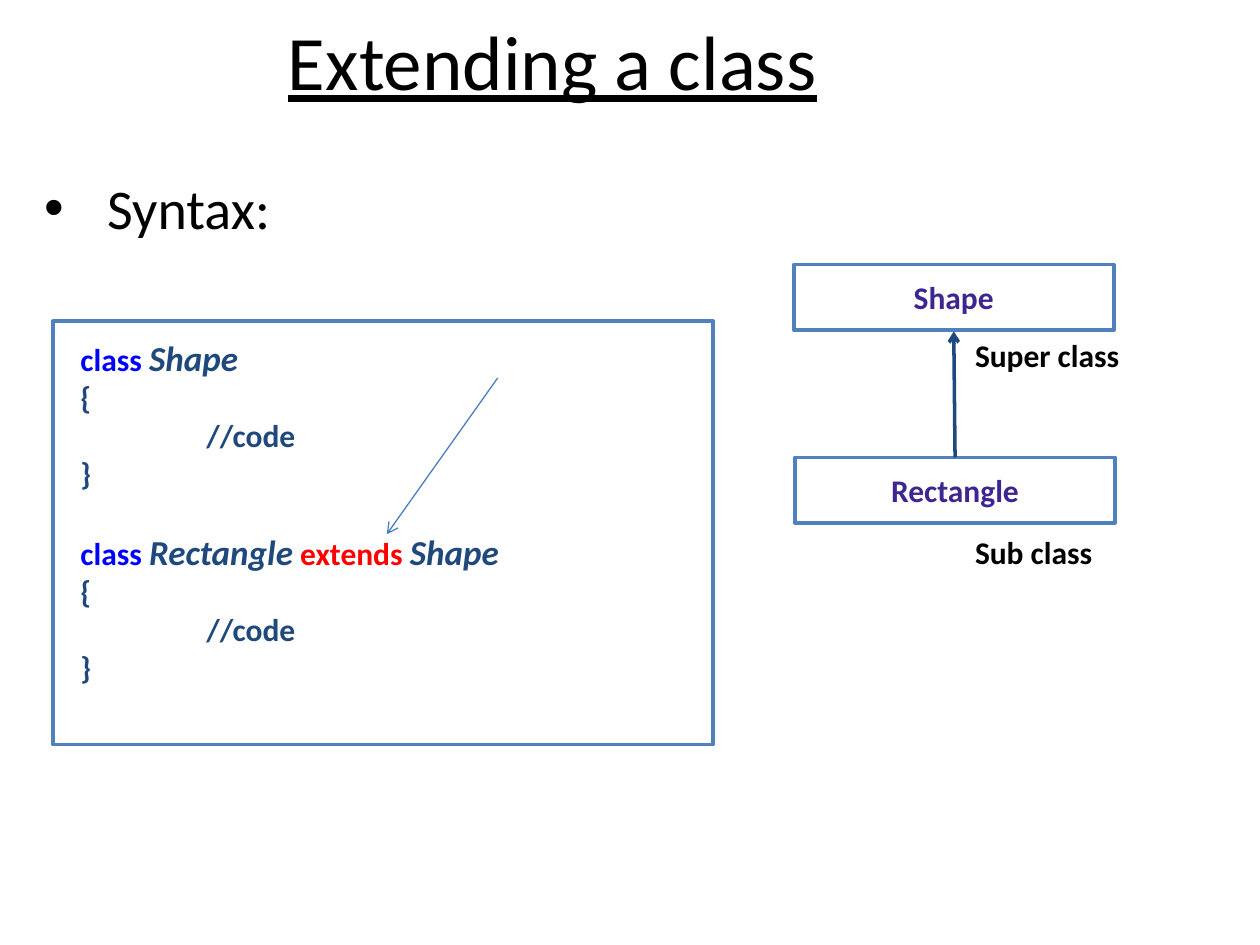
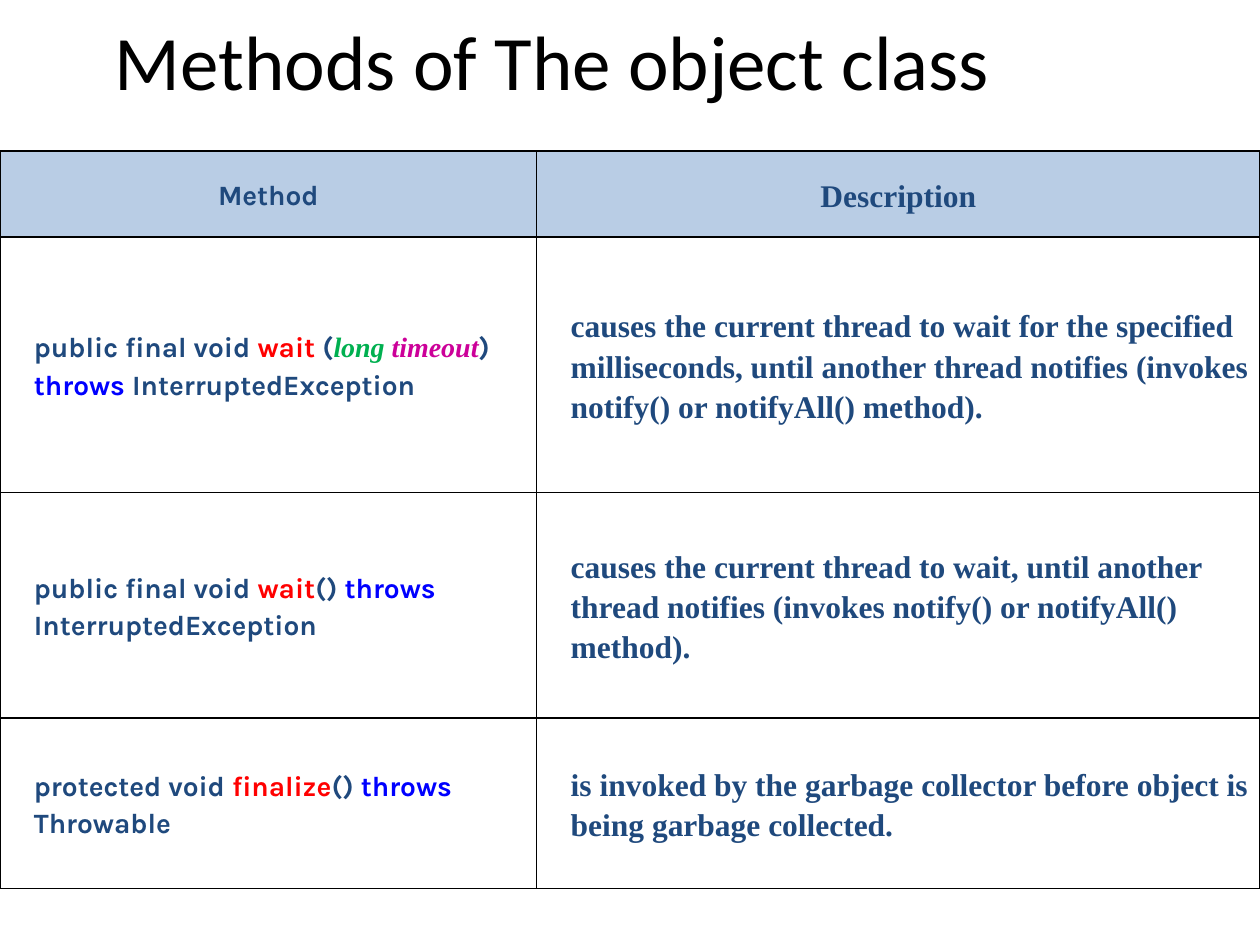
from lxml import etree
from pptx import Presentation
from pptx.dml.color import RGBColor
from pptx.enum import shapes, text
from pptx.oxml import ns
from pptx.util import Inches, Pt

# Shared colours and fonts
BLACK, WHITE, NAVY, BLUE = "000000", "FFFFFF", "1F497D", "0000FF"
RED, GREEN, PINK, PURPLE = "FF0000", "00B050", "CC0099", "3F258F"
OUTLINE, ARROW, HEADER = "4F81BD", "4B7EBC", "B9CDE5"
BODY_FONT, CODE_FONT, SERIF = "Calibri", "Karla", "Times New Roman"
LEFT, CENTER = text.PP_ALIGN.LEFT, text.PP_ALIGN.CENTER


def colour(value):
    return RGBColor.from_string(value)


def add_span(para, words, size, ink=BLACK, face=BODY_FONT, bold=False, italic=False,
             underline=False):
    span = para.add_run()
    span.text = words
    font = span.font
    font.size, font.name = Pt(size), face
    font.bold, font.italic, font.underline = bold, italic, underline
    font.color.rgb = colour(ink)


def set_indent(para, margin, first=0):
    props = para._p.get_or_add_pPr()
    props.set("marL", str(Inches(margin)))
    props.set("indent", str(Inches(first)))


def place(shape, left, top, width, height):
    shape.left, shape.top = Inches(left), Inches(top)
    shape.width, shape.height = Inches(width), Inches(height)


def add_title(page, words, underline=False):
    title = page.shapes.title
    place(title, 0, 0, 8.77, 0.95)
    frame = title.text_frame
    frame.vertical_anchor = text.MSO_ANCHOR.MIDDLE
    para = frame.paragraphs[0]
    para.alignment = CENTER
    add_span(para, words, 44, underline=underline)


def add_box(parent, left, top, width, height):
    box = parent.add_shape(shapes.MSO_SHAPE.RECTANGLE, Inches(left), Inches(top),
                           Inches(width), Inches(height))
    box.shadow.inherit = False
    box.fill.solid()
    box.fill.fore_color.rgb = colour(WHITE)
    box.line.color.rgb = colour(OUTLINE)
    box.line.width = Pt(2)
    return box


def add_arrow(parent, start, end, ink, width):
    ends = [Inches(value) for value in (*start, *end)]
    arrow = parent.add_connector(shapes.MSO_CONNECTOR.STRAIGHT, *ends)
    arrow.line.color.rgb = colour(ink)
    arrow.line.width = Pt(width)
    line = arrow.line._get_or_add_ln()
    etree.SubElement(line, ns.qn("a:tailEnd"), type="arrow")
    etree.SubElement(arrow._element.spPr, ns.qn("a:effectLst"))


# Slide 1: syntax and inheritance diagram
def add_bullet(page, words):
    body = page.placeholders[1]
    place(body, 0.25, 1.33, 8.13, 0.68)
    para = body.text_frame.paragraphs[0]
    set_indent(para, 0.5, -0.5)
    add_span(para, words, 32)


def add_code(page, left, top, width, height):
    box = add_box(page.shapes, left, top, width, height)
    frame = box.text_frame
    frame.word_wrap = True
    frame.vertical_anchor = text.MSO_ANCHOR.TOP
    frame.margin_top = Inches(0.12)
    keyword, name, clause = (18, BLUE), (20, NAVY), (18, RED)
    headings = [
        [("class ", keyword), ("Shape", name)],
        [("class ", keyword), ("Rectangle", name), (" extends ", clause), ("Shape", name)],
    ]
    para = frame.paragraphs[0]
    for number, heading in enumerate(headings):
        if number:
            para = frame.add_paragraph()
            para.space_before = Pt(22)
        para.alignment = LEFT
        set_indent(para, 0.12)
        for words, (size, ink) in heading:
            add_span(para, words, size, ink, bold=True, italic=size == 20)
        for words, margin in (("{", 0.12), ("//code", 1.12), ("}", 0.12)):
            para = frame.add_paragraph()
            para.alignment = LEFT
            set_indent(para, margin)
            add_span(para, words, 18, NAVY, bold=True)
    # Pointer to the extends clause
    add_arrow(page.shapes, (left + 3.53, top + 0.45), (left + 2.65, top + 1.69), ARROW, 0.75)


def add_hierarchy(page, left, top):
    width, height, drop = 2.54, 0.52, 1.53
    group = page.shapes.add_group_shape().shapes
    for words, x, y in (("Shape", left, top), ("Rectangle", left + 0.01, top + drop)):
        frame = add_box(group, x, y, width, height).text_frame
        frame.vertical_anchor = text.MSO_ANCHOR.MIDDLE
        para = frame.paragraphs[0]
        para.alignment = CENTER
        add_span(para, words, 18, PURPLE, bold=True)
    middle = left + width / 2
    add_arrow(group, (middle + 0.01, top + drop), (middle, top + height + 0.01), NAVY, 2)

    # Role labels
    labels = page.shapes.add_group_shape().shapes
    for words, y in (("Super class", top + 0.52), ("Sub class", top + 2.08)):
        label = labels.add_textbox(Inches(left + 1.34), Inches(y), Inches(2.23), Inches(0.4))
        label.text_frame.word_wrap = True
        add_span(label.text_frame.paragraphs[0], words, 18, bold=True)


def build_syntax(deck):
    page = deck.slides.add_slide(deck.slide_layouts[1])
    add_title(page, "Extending a class", underline=True)
    add_bullet(page, "Syntax:")
    add_code(page, 0.42, 2.55, 5.24, 3.36)
    add_hierarchy(page, 6.3, 2.1)


# Slide 2: method table
THROWS = ("throws ", BLUE)
METHODS = [
    ([("public final void ", NAVY), ("wait", RED), (" (", NAVY), ("long ", GREEN),
      ("timeout", PINK), (") ", NAVY), THROWS, ("InterruptedException", NAVY)],
     "causes the current thread to wait for the specified milliseconds, until another "
     "thread notifies (invokes notify() or notifyAll() method)."),
    ([("public final void ", NAVY), ("wait", RED), ("() ", NAVY), THROWS,
      ("InterruptedException", NAVY)],
     "causes the current thread to wait, until another thread notifies (invokes "
     "notify() or notifyAll() method)."),
    ([("protected void ", NAVY), ("finalize", RED), ("() ", NAVY), THROWS,
      ("Throwable", NAVY)],
     "is invoked by the garbage collector before object is being garbage collected."),
]


def format_cell(cell, fill, align, margin):
    props = cell._tc.get_or_add_tcPr()
    for side in ("lnL", "lnR", "lnT", "lnB"):
        border = etree.SubElement(props, ns.qn("a:" + side), w=str(Pt(1)))
        solid = etree.SubElement(border, ns.qn("a:solidFill"))
        etree.SubElement(solid, ns.qn("a:srgbClr"), val=BLACK)
    cell.fill.solid()
    cell.fill.fore_color.rgb = colour(fill)
    cell.vertical_anchor = text.MSO_ANCHOR.MIDDLE
    cell.margin_left = cell.margin_right = Inches(0.07)
    cell.margin_top = cell.margin_bottom = 0
    para = cell.text_frame.paragraphs[0]
    para.alignment = align
    para.line_spacing = 1.15
    set_indent(para, margin)
    return para


def add_methods(page, left, top, columns, heights):
    table = page.shapes.add_table(len(heights), len(columns), Inches(left), Inches(top),
                                  Inches(sum(columns)), Inches(sum(heights))).table
    for column, width in zip(table.columns, columns):
        column.width = Inches(width)
    for row, height in zip(table.rows, heights):
        row.height = Inches(height)
    rows = [([("Method", NAVY)], "Description")] + METHODS
    for number, (signature, description) in enumerate(rows):
        look = (WHITE, LEFT, 0.2) if number else (HEADER, CENTER, 0)
        para = format_cell(table.cell(number, 0), *look)
        para.space_before = para.space_after = Pt(4)
        for words, ink in signature:
            argument = ink in (GREEN, PINK)
            add_span(para, words, 16, ink, SERIF if argument else CODE_FONT,
                     bold=True, italic=argument)
        para = format_cell(table.cell(number, 1), *look)
        add_span(para, description, 18, NAVY, SERIF, bold=True)


def build_methods(deck):
    page = deck.slides.add_slide(deck.slide_layouts[5])
    add_title(page, "Methods of The object class")
    add_methods(page, 0, 1.2, (4.26, 5.74), (0.68, 2.03, 1.79, 1.35))


def main():
    deck = Presentation()
    deck.slide_width, deck.slide_height = Inches(10), Inches(7.5)
    build_syntax(deck)
    build_methods(deck)
    deck.save("out.pptx")


if __name__ == "__main__":
    main()
